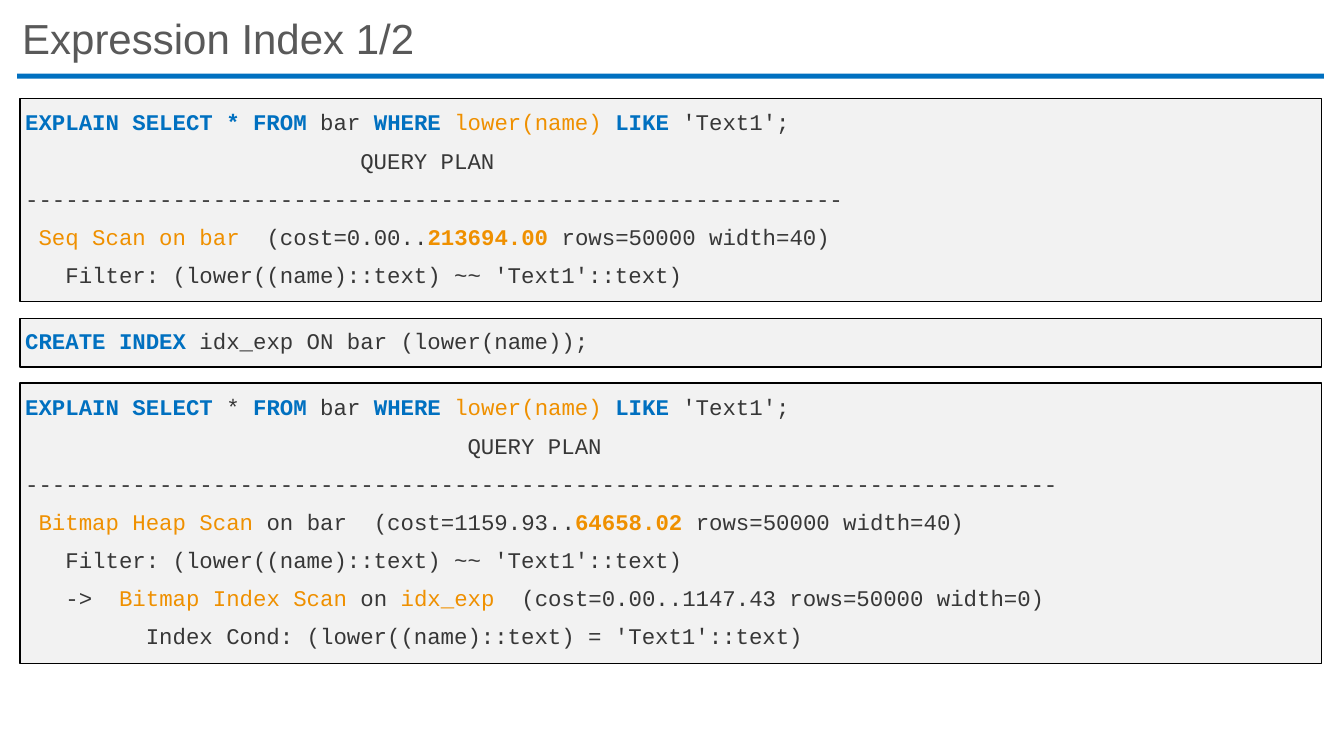
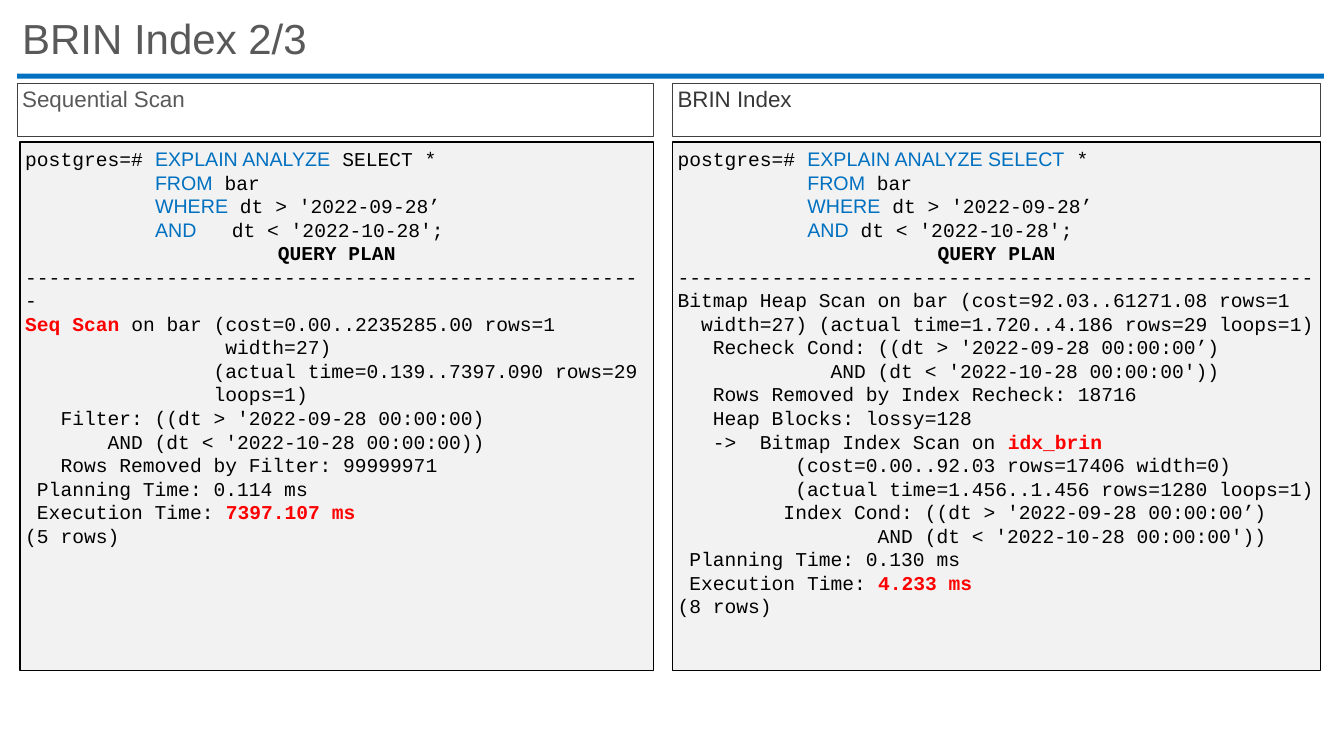
from pptx import Presentation
from pptx.dml.color import RGBColor
from pptx.enum import shapes, text
from pptx.util import Inches, Pt

BLUE = RGBColor(0x00, 0x70, 0xC0)
GREY = RGBColor(0x59, 0x59, 0x59)
DARK = RGBColor(0x37, 0x37, 0x37)
PALE = RGBColor(0xF2, 0xF2, 0xF2)
EDGE = RGBColor(0x40, 0x40, 0x40)
BLACK = RGBColor(0, 0, 0)
AMBER = RGBColor(0xEF, 0x90, 0x00)
RED = RGBColor(0xFF, 0, 0)
SANS, MONO = "Arial", "Courier New"

# Marked code "[kWORD]": letter -> colour, bold, font
MARKS = {
    "k": (BLUE, True, MONO),
    "s": (BLUE, False, SANS),
    "o": (AMBER, False, MONO),
    "O": (AMBER, True, MONO),
    "r": (RED, True, MONO),
    "c": (BLACK, True, MONO),  # also centres its line
}

deck = Presentation()
deck.slide_width, deck.slide_height = Inches(13.33), Inches(7.5)
layout = deck.slide_layouts[5]


def setup(frame, anchor):
    frame.word_wrap = True
    frame.auto_size = text.MSO_AUTO_SIZE.NONE
    frame.vertical_anchor = anchor
    frame.margin_left = frame.margin_right = Inches(0.05)
    frame.margin_top = frame.margin_bottom = Inches(0.05)


def panel(slide, place, lines, size, color, font=MONO, fill=PALE, edge=BLACK,
          width=1, anchor=text.MSO_ANCHOR.TOP, pitch=None, gap=0):
    box = slide.shapes.add_shape(shapes.MSO_SHAPE.RECTANGLE, *map(Inches, place))
    box.shadow.inherit = False
    if fill is None:
        box.fill.background()
    else:
        box.fill.solid()
        box.fill.fore_color.rgb = fill
    box.line.color.rgb = edge
    box.line.width = Pt(width)
    frame = box.text_frame
    setup(frame, anchor)
    for i, line in enumerate(lines):
        para = frame.paragraphs[0] if i == 0 else frame.add_paragraph()
        para.alignment = text.PP_ALIGN.CENTER if line.startswith("[c") else text.PP_ALIGN.LEFT
        para.line_spacing = pitch
        para.space_before = Pt(gap if i else 0)
        para.font.size, para.font.name = Pt(size), font
        para.font.color.rgb = color
        plain, *marked = line.split("[")
        if plain:
            para.add_run().text = plain
        for part in marked:
            word, rest = part[1:].split("]")
            run = para.add_run()
            run.text = word
            run.font.color.rgb, run.font.bold, run.font.name = MARKS[part[0]]
            if rest:
                para.add_run().text = rest


# Slides with their titles
pages = []
for name in ("Expression Index 1/2", "BRIN Index 2/3"):
    slide = deck.slides.add_slide(layout)
    title = slide.shapes.title
    title.left, title.top = Inches(0.17), Inches(0.15)
    title.width, title.height = Inches(12.96), Inches(0.52)
    setup(title.text_frame, text.MSO_ANCHOR.MIDDLE)
    title.text_frame.text = name
    para = title.text_frame.paragraphs[0]
    para.alignment = text.PP_ALIGN.LEFT
    para.line_spacing = 0.9
    para.font.size, para.font.name = Pt(30), SANS
    para.font.color.rgb = GREY
    pages.append(slide)
first, second = pages

# Blue rule, moved to the shared layout
rule = first.shapes.add_shape(shapes.MSO_SHAPE.RECTANGLE, Inches(0.17), Inches(0.73),
                              Inches(12.96), Inches(0.05))
rule.shadow.inherit = False
rule.fill.solid()
rule.fill.fore_color.rgb = BLUE
rule.line.fill.background()
layout.shapes.element.append(rule.element)

# Expression index: plan before, index, plan after
before = [
    "[kEXPLAIN SELECT * FROM] bar [kWHERE] [olower(name)] [kLIKE] 'Text1';",
    "                         QUERY PLAN",
    "-" * 61,
    " [oSeq Scan on bar]  (cost=0.00..[O213694.00] rows=50000 width=40)",
    "   Filter: (lower((name)::text) ~~ 'Text1'::text)",
]
create = ["[kCREATE INDEX] idx_exp ON bar (lower(name));"]
after = [
    "[kEXPLAIN SELECT] * [kFROM] bar [kWHERE] [olower(name)] [kLIKE] 'Text1';",
    "                                 QUERY PLAN",
    "-" * 77,
    " [oBitmap Heap Scan] on bar  (cost=1159.93..[O64658.02] rows=50000 width=40)",
    "   Filter: (lower((name)::text) ~~ 'Text1'::text)",
    "   ->  [oBitmap Index Scan] on [oidx_exp]  (cost=0.00..1147.43 rows=50000 width=0)",
    "         Index Cond: (lower((name)::text) = 'Text1'::text)",
]
for top, height, lines in ((0.98, 2.01, before), (3.16, 0.48, create), (3.8, 2.78, after)):
    panel(first, (0.2, top, 12.91, height), lines, 16, DARK,
          anchor=text.MSO_ANCHOR.MIDDLE, pitch=0.9, gap=10)

# BRIN index: two plans side by side
seq = [
    "postgres=# [sEXPLAIN ANALYZE] SELECT *",
    "           [sFROM] bar",
    "           [sWHERE] dt > '2022-09-28’",
    "           [sAND]   dt < '2022-10-28';",
    "[cQUERY PLAN]",
    "-" * 53,
    "[rSeq Scan] on bar (cost=0.00..2235285.00 rows=1",
    "                 width=27)",
    "                (actual time=0.139..7397.090 rows=29",
    "                loops=1)",
    "   Filter: ((dt > '2022-09-28 00:00:00)",
    "       AND (dt < '2022-10-28 00:00:00))",
    "   Rows Removed by Filter: 99999971",
    " Planning Time: 0.114 ms",
    " Execution Time: [r7397.107 ms]",
    "(5 rows)",
]
brin = [
    "postgres=# [sEXPLAIN ANALYZE SELECT] *",
    "           [sFROM] bar",
    "           [sWHERE] dt > '2022-09-28’",
    "           [sAND] dt < '2022-10-28';",
    "[cQUERY PLAN]",
    "-" * 54,
    "Bitmap Heap Scan on bar (cost=92.03..61271.08 rows=1",
    "  width=27) (actual time=1.720..4.186 rows=29 loops=1)",
    "   Recheck Cond: ((dt > '2022-09-28 00:00:00’)",
    "             AND (dt < '2022-10-28 00:00:00'))",
    "   Rows Removed by Index Recheck: 18716",
    "   Heap Blocks: lossy=128",
    "   ->  Bitmap Index Scan on [ridx_brin]",
    "          (cost=0.00..92.03 rows=17406 width=0)",
    "          (actual time=1.456..1.456 rows=1280 loops=1)",
    "         Index Cond: ((dt > '2022-09-28 00:00:00’)",
    "                 AND (dt < '2022-10-28 00:00:00'))",
    " Planning Time: 0.130 ms",
    " Execution Time: [r4.233 ms]",
    "(8 rows)",
]
for head, color, left, inner, right, lines in (
        ("Sequential Scan", GREY, 0.17, 0.2, 6.48, seq),
        ("BRIN Index", DARK, 6.67, 6.67, 13.1, brin)):
    panel(second, (left, 0.83, right - left, 0.52), [head], 16, color, font=SANS,
          fill=None, edge=EDGE, width=0.75, pitch=0.9)
    panel(second, (inner, 1.41, right - inner, 5.24), lines, 14, BLACK)

deck.save("out.pptx")
